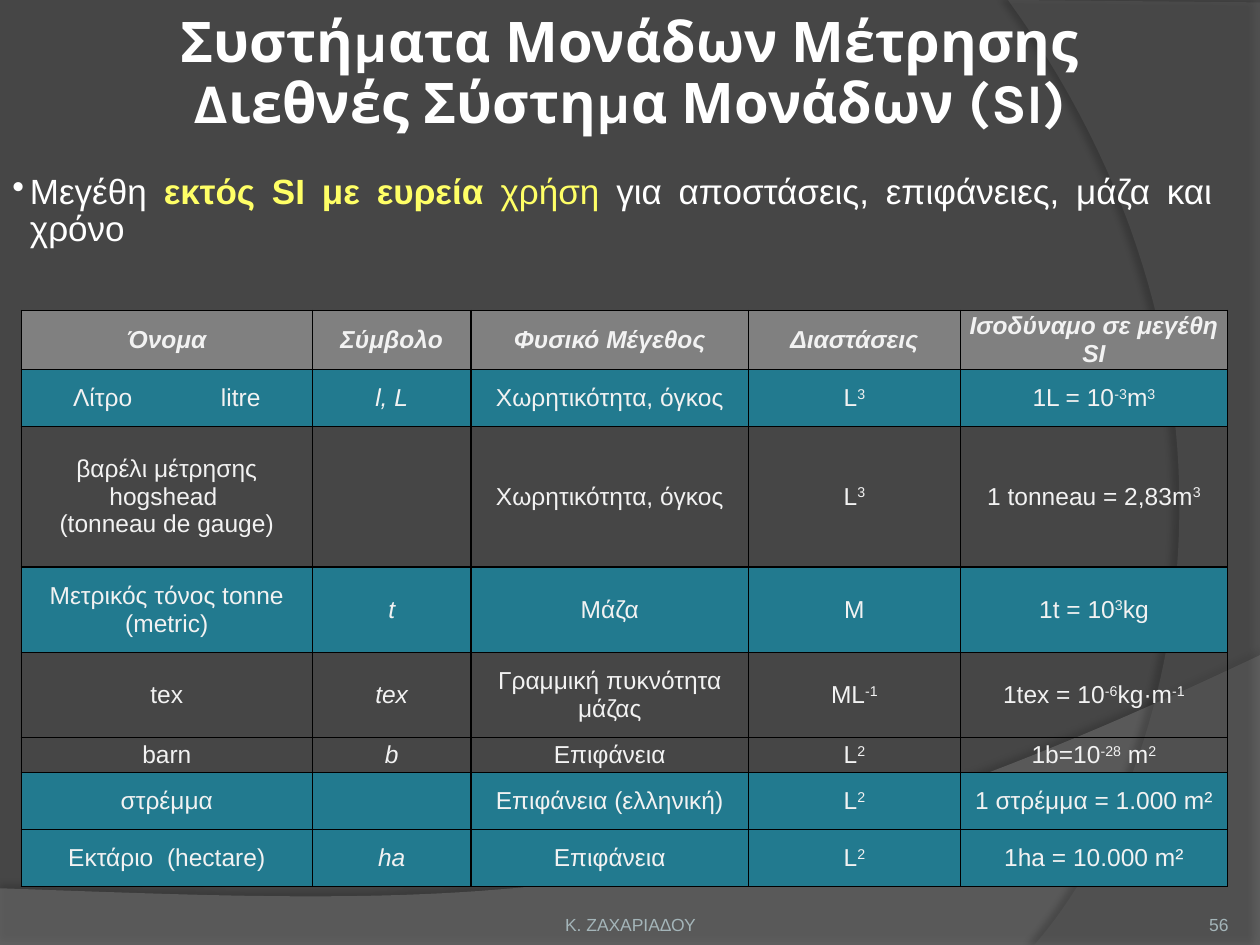
"""Builds the slide on widely used units outside the SI."""
from dataclasses import dataclass

from lxml import etree
from pptx import Presentation
from pptx.dml.color import RGBColor
from pptx.enum.text import MSO_ANCHOR, PP_ALIGN
from pptx.oxml.ns import qn
from pptx.util import Pt

CENTER, RIGHT, JUSTIFY = PP_ALIGN.CENTER, PP_ALIGN.RIGHT, PP_ALIGN.JUSTIFY
LEFT = PP_ALIGN.LEFT
TOP, MIDDLE, BOTTOM = MSO_ANCHOR.TOP, MSO_ANCHOR.MIDDLE, MSO_ANCHOR.BOTTOM


@dataclass(frozen=True)
class Theme:
    background: str = "464646"
    lower_wave: str = "7F7F7F"
    right_wave: str = "5E5E5E"
    shadow: str = "000000"
    border: str = "000000"
    header: str = "808080"
    band: str = "227A8F"
    white: str = "FFFFFF"
    accent: str = "FFFF66"
    cell_text: str = "F2F2F2"
    footer: str = "A4B5B9"
    title_font: str = "Karla"
    body_font: str = "Arial"
    title_size: float = 32
    body_size: float = 20
    table_size: float = 14
    footer_size: float = 10


@dataclass(frozen=True)
class Style:
    size: float
    color: str
    font: str = "Arial"
    bold: bool = False
    italic: bool = False


@dataclass(frozen=True)
class Box:
    left: float
    top: float
    width: float
    height: float
    anchor: MSO_ANCHOR
    insets: tuple[float, float, float, float] = (7.2, 3.6, 7.2, 3.6)


@dataclass(frozen=True)
class Wave:
    before: tuple
    curve: tuple
    after: tuple
    color: str
    opacity: int
    shadow_opacity: int
    distance: float
    direction: int


@dataclass(frozen=True)
class Row:
    height: float
    texts: tuple[str, ...]
    fill: str | None = None


THEME = Theme()
COLUMN_WIDTHS = (166.3, 90.7, 158.6, 121, 152.8)
SYMBOL_COLUMN = 1
LITRE_TABS = (26, 110.5)
HEADER = Style(THEME.table_size, THEME.cell_text, bold=True, italic=True)
PLAIN = Style(THEME.table_size, THEME.cell_text)
SYMBOL = Style(THEME.table_size, THEME.cell_text, italic=True)
FOOTER = Style(THEME.footer_size, THEME.footer)
TITLE = Style(THEME.title_size, THEME.white, THEME.title_font, bold=True)
BODY = Style(THEME.body_size, THEME.white)
BODY_ACCENT = Style(THEME.body_size, THEME.accent)
BODY_STRONG = Style(THEME.body_size, THEME.accent, bold=True)

WAVES = (
    Wave(((0, 507.6), (0, 540), (720, 540)),
         ((720, 374.4), (402.5, 524.9), (281.5, 517.7), (0, 507.6)), (),
         THEME.lower_wave, 45, 35, 3.5, 270),
    Wave(((720, 1.4), (720, 540)),
         ((591.1, 540), (673.2, 445.7), (733, 216), (576, 0)), ((720, 1.4),),
         THEME.right_wave, 40, 45, 4, 180),
)
ROWS = (
    Row(32.5, ("Όνομα", "Σύμβολο", "Φυσικό Μέγεθος", "Διαστάσεις",
               "Ισοδύναμο σε μεγέθη SI"), THEME.header),
    Row(32.5, ("\tΛίτρο\tlitre", "l, L", "Χωρητικότητα, όγκος", "L^3",
               "1L = 10^-3^m^3"), THEME.band),
    Row(80.5, ("βαρέλι μέτρησης\nhogshead \n(tonneau de gauge)", "",
               "Χωρητικότητα, όγκος", "L^3", "1 tonneau = 2,83m^3")),
    Row(48.7, ("Μετρικός τόνος tonne (metric)", "t", "Μάζα", "Μ",
               "1t = 10^3^kg"), THEME.band),
    Row(48.7, ("tex", "tex", "Γραμμική πυκνότητα μάζας", "ML^-1",
               "1tex = 10^-6^kg·m^-1")),
    Row(20, ("barn", "b", "Επιφάνεια", "L^2", "1b=10^-28^ m^2")),
    Row(32.5, ("στρέμμα", "", "Επιφάνεια (ελληνική)", "L^2",
               "1 στρέμμα = 1.000 m²"), THEME.band),
    Row(32.5, ("Εκτάριο  (hectare)", "ha", "Επιφάνεια", "L^2",
               "1ha = 10.000 m²"), THEME.band),
)


def rgb(color: str) -> RGBColor:
    return RGBColor.from_string(color)


def child(parent, tag: str, **attributes):
    return etree.SubElement(parent, qn(tag),
                            {key: str(value) for key, value in attributes.items()})


def add_run(paragraph, text: str, style: Style):
    run = paragraph.add_run()
    run.text = text
    font = run.font
    font.name, font.size = style.font, Pt(style.size)
    font.bold, font.italic = style.bold, style.italic
    font.color.rgb = rgb(style.color)
    return run


def add_paragraph_box(slide, box: Box, alignment: PP_ALIGN):
    frame = slide.shapes.add_textbox(
        Pt(box.left), Pt(box.top), Pt(box.width), Pt(box.height)).text_frame
    frame.word_wrap = True
    frame.vertical_anchor = box.anchor
    (frame.margin_left, frame.margin_top,
     frame.margin_right, frame.margin_bottom) = map(Pt, box.insets)
    paragraph = frame.paragraphs[0]
    paragraph.alignment = alignment
    return paragraph


def bezier(points: tuple, steps: int = 60) -> list[tuple[float, float]]:
    curve = []
    for step in range(steps + 1):
        t = step / steps
        weights = ((1 - t) ** 3, 3 * t * (1 - t) ** 2, 3 * t * t * (1 - t), t ** 3)
        curve.append(tuple(sum(w * p[axis] for w, p in zip(weights, points))
                           for axis in (0, 1)))
    return curve


def draw_wave(slide, wave: Wave) -> None:
    start, *outline = [*wave.before, *bezier(wave.curve), *wave.after]
    builder = slide.shapes.build_freeform(Pt(start[0]), Pt(start[1]))
    builder.add_line_segments([(Pt(x), Pt(y)) for x, y in outline])
    shape = builder.convert_to_shape()
    shape.fill.solid()
    shape.fill.fore_color.rgb = rgb(wave.color)
    shape.line.fill.background()
    shape.shadow.inherit = False
    properties = shape.element.spPr
    fill_color = properties.find(qn("a:solidFill")).find(qn("a:srgbClr"))
    child(fill_color, "a:alpha", val=wave.opacity * 1000)
    shadow = child(properties.find(qn("a:effectLst")), "a:outerShdw",
                   blurRad=Pt(4), dist=Pt(wave.distance),
                   dir=wave.direction * 60000, algn="ctr", rotWithShape=0)
    shadow_color = child(shadow, "a:srgbClr", val=THEME.shadow)
    child(shadow_color, "a:alpha", val=wave.shadow_opacity * 1000)


def fill_paragraph(paragraph, text: str, style: Style) -> None:
    paragraph.alignment = CENTER
    if "\t" in text:
        paragraph.alignment = LEFT
        stops = child(paragraph._p.get_or_add_pPr(), "a:tabLst")
        for position in LITRE_TABS:
            child(stops, "a:tab", pos=Pt(position), algn="l")
    for index, part in enumerate(text.split("^")):
        if part:
            run = add_run(paragraph, part, style)
            if index % 2:
                run.font._element.set("baseline", "30000")


def fill_cell(cell, text: str, style: Style, fill: str | None) -> None:
    cell.vertical_anchor = MIDDLE
    cell.margin_left = cell.margin_right = Pt(3.6)
    cell.margin_top = cell.margin_bottom = Pt(0)
    for side in ("a:lnL", "a:lnR", "a:lnT", "a:lnB"):
        line = child(cell._tc.get_or_add_tcPr(), side, w=Pt(1))
        child(child(line, "a:solidFill"), "a:srgbClr", val=THEME.border)
    if fill:
        cell.fill.solid()
        cell.fill.fore_color.rgb = rgb(fill)
    else:
        cell.fill.background()
    frame = cell.text_frame
    for index, line_text in enumerate(text.split("\n")):
        paragraph = frame.add_paragraph() if index else frame.paragraphs[0]
        fill_paragraph(paragraph, line_text, style)


def draw_units_table(slide) -> None:
    units = slide.shapes.add_table(
        len(ROWS), len(COLUMN_WIDTHS), Pt(12.2), Pt(177.5),
        Pt(sum(COLUMN_WIDTHS)), Pt(sum(row.height for row in ROWS))).table
    units.horz_banding = False
    for column, width in zip(units.columns, COLUMN_WIDTHS):
        column.width = Pt(width)
    for row_index, row in enumerate(ROWS):
        units.rows[row_index].height = Pt(row.height)
        for column_index, text in enumerate(row.texts):
            body_style = SYMBOL if column_index == SYMBOL_COLUMN else PLAIN
            fill_cell(units.cell(row_index, column_index), text,
                      body_style if row_index else HEADER, row.fill)


def draw_heading(slide) -> None:
    title = add_paragraph_box(slide, Box(36, 23.8, 648, 38, MIDDLE), CENTER)
    title.line_spacing = 0.9
    add_run(title, "Συστήματα Μονάδων Μέτρησης", TITLE)
    title.add_line_break()
    add_run(title, "Διεθνές Σύστημα Μονάδων (SI)", TITLE)
    intro = add_paragraph_box(slide, Box(0, 95.8, 700, 22.3, TOP), JUSTIFY)
    properties = intro._p.get_or_add_pPr()
    properties.set("marL", str(Pt(10)))
    properties.set("indent", str(Pt(-10)))
    child(properties, "a:buChar", char="•")
    intro.line_spacing = 0.9
    for text, style in (("Μεγέθη ", BODY), ("εκτός SI με ευρεία ", BODY_STRONG),
                        ("χρήση ", BODY_ACCENT),
                        ("για αποστάσεις, επιφάνειες, μάζα και χρόνο", BODY)):
        add_run(intro, text, style)


def main() -> None:
    deck = Presentation()
    deck.slide_width, deck.slide_height = Pt(720), Pt(540)
    slide = deck.slides.add_slide(deck.slide_layouts[6])
    slide.background.fill.solid()
    slide.background.fill.fore_color.rgb = rgb(THEME.background)
    for wave in WAVES:
        draw_wave(slide, wave)
    author = Box(246.2, 505.4, 228.2, 28.8, BOTTOM, (0, 3.6, 0, 0))
    add_run(add_paragraph_box(slide, author, CENTER), "Κ. ΖΑΧΑΡΙΑΔΟΥ", FOOTER)
    number = Box(642.2, 505.4, 59.8, 28.8, BOTTOM, (0, 0, 0, 0))
    add_run(add_paragraph_box(slide, number, RIGHT), "56", FOOTER)
    draw_heading(slide)
    draw_units_table(slide)
    deck.save("out.pptx")


if __name__ == "__main__":
    main()
